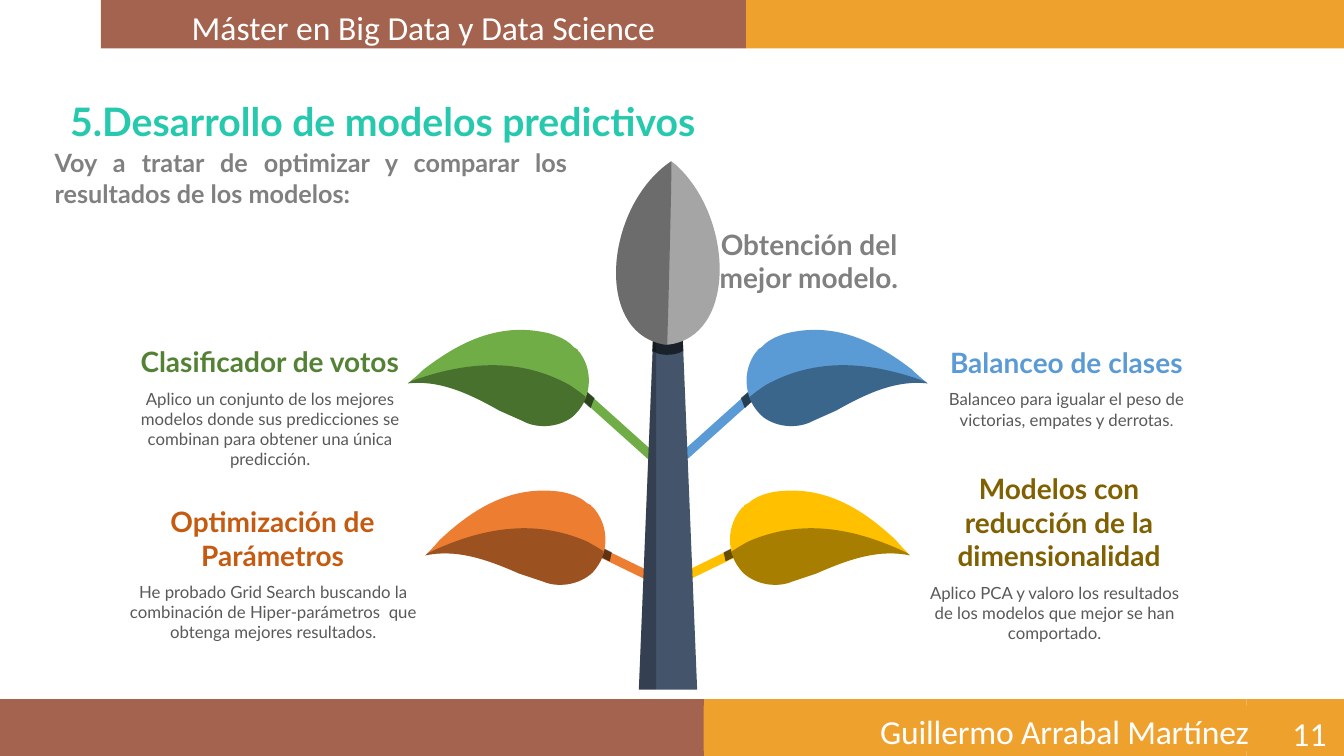
from math import cos, radians, sin

from lxml.etree import SubElement
from pptx import Presentation
from pptx.dml.color import RGBColor
from pptx.enum.shapes import MSO_SHAPE as Shape
from pptx.enum.text import MSO_ANCHOR as Anchor, PP_ALIGN as Align
from pptx.oxml.ns import qn
from pptx.util import Cm, Pt

BROWN = RGBColor(0xA4, 0x63, 0x4E)
AMBER = RGBColor(0xEF, 0xA1, 0x2D)
TEAL = RGBColor(0x27, 0xC9, 0xAE)
GREY = RGBColor(0x80, 0x80, 0x80)
DARK_GREY = RGBColor(0x59, 0x59, 0x59)
SILVER = RGBColor(0xA5, 0xA5, 0xA5)
SLATE = RGBColor(0x44, 0x54, 0x6A)
BLUE = RGBColor(0x5B, 0x9B, 0xD5)
GREEN = RGBColor(0x70, 0xAD, 0x47)
DARK_GREEN = RGBColor(0x54, 0x82, 0x35)
ORANGE = RGBColor(0xED, 0x7D, 0x31)
DARK_ORANGE = RGBColor(0xC5, 0x5A, 0x11)
GOLD = RGBColor(0xFF, 0xC0, 0x00)
DARK_GOLD = RGBColor(0x80, 0x60, 0x00)
BLACK = RGBColor(0, 0, 0)
WHITE = RGBColor(0xFF, 0xFF, 0xFF)

UNIT = Cm(0.0254)  # outlines are given in hundredths of an inch
MIRROR_SUM = 1325  # x of a left point plus x of its right twin
LOWER_CENTRE, UPPER_CENTRE, TILT = (520.5, 542.5), (503.5, 381.5), radians(5.6)

deck = Presentation()
deck.slide_width, deck.slide_height = Cm(33.87), Cm(19.05)
page = deck.slides.add_slide(deck.slide_layouts[6])


def add_outline(path, color, opacity=100, mirrored=False, tilted=False):
    """Draw a closed path: pairs are corners, sextuples are Bezier curves.

    A tilted path is turned from the lower leaf's place to the upper one's."""
    steps, extent = [], []
    for numbers in path:
        points = list(zip(numbers[::2], numbers[1::2]))
        if tilted:
            offsets = [(x - LOWER_CENTRE[0], y - LOWER_CENTRE[1]) for x, y in points]
            points = [(UPPER_CENTRE[0] + x * cos(TILT) - y * sin(TILT),
                       UPPER_CENTRE[1] + x * sin(TILT) + y * cos(TILT)) for x, y in offsets]
        if mirrored:
            points = [(MIRROR_SUM - x, y) for x, y in points]
        points = [(round(x * UNIT), round(y * UNIT)) for x, y in points]
        if len(points) == 3:  # points on the curve give the outline its true extent
            knots = [extent[-1], *points]
            for t in (0.25, 0.5, 0.75):
                weights = ((1 - t) ** 3, 3 * t * (1 - t) ** 2, 3 * t * t * (1 - t), t ** 3)
                extent.append(tuple(round(sum(w * knot[axis] for w, knot in zip(weights, knots)))
                                    for axis in (0, 1)))
        extent.append(points[-1])
        steps.append(points)
    builder = page.shapes.build_freeform(*extent[0], scale=1.0)
    builder.add_line_segments(extent[1:], close=True)
    shape = builder.convert_to_shape()
    trace = next(shape._element.iter(qn("a:path")))
    for child in list(trace):
        trace.remove(child)
    for i, points in enumerate(steps):
        tag = "a:moveTo" if i == 0 else "a:lnTo" if len(points) == 1 else "a:cubicBezTo"
        step = SubElement(trace, qn(tag))
        for x, y in points:
            SubElement(step, qn("a:pt"), x=str(x - shape.left), y=str(y - shape.top))
    SubElement(trace, qn("a:close"))
    shape.shadow.inherit = False
    shape.line.fill.background()
    shape.fill.solid()
    shape.fill.fore_color.rgb = color
    if opacity < 100:
        tint = shape.fill._xPr.find(qn("a:solidFill"))[0]
        SubElement(tint, qn("a:alpha"), val=str(opacity * 1000))


def add_text(place, spans, font, frame=None, layout=None, indent=0, fill=None):
    """Add a one-paragraph text box; spans are pairs of text and size in points."""
    box = page.shapes.add_textbox(*map(Cm, place))
    if fill:
        box.fill.solid()
        box.fill.fore_color.rgb = fill
    para = box.text_frame.paragraphs[0]
    formats = [(box.text_frame, {"word_wrap": True, **(frame or {})}), (para, layout or {})]
    for text, size in spans:
        span = para.add_run()
        span.text = text
        formats += [(span.font, {**font["face"], "size": Pt(size)}),
                    (span.font.color, {"rgb": font["color"]})]
    for target, values in formats:
        for key, value in values.items():
            setattr(target, key, value)
    if indent:
        para._p.get_or_add_pPr().set("marL", str(Cm(indent)))
    return para


# Bars, then the stems and the trunk of the plant
blocks = [
    (Shape.RECTANGLE, (2.54, 17.62, 14.4, 1.43), 0, BROWN),
    (Shape.RECTANGLE, (16.94, 17.62, 14.48, 1.43), 0, AMBER),
    (Shape.RECTANGLE, (31.42, 17.62, 2.45, 1.43), 0, AMBER),
    (Shape.RECTANGLE, (0, 17.62, 17.74, 1.48), 0, BROWN),
    (Shape.RECTANGLE, (18.8, 0, 15.07, 1.22), 0, AMBER),
    (Shape.RECTANGLE, (15.54, 12.98, 0.23, 2.39), 295.9, ORANGE),
    (Shape.RECTANGLE, (15.47, 9.17, 0.23, 3.15), 311.9, GREEN),
    (Shape.RECTANGLE, (17.88, 12.98, 0.23, 2.39), 64.1, GOLD),
    (Shape.RECTANGLE, (17.96, 9.17, 0.23, 3.15), 48.1, BLUE),
    (Shape.TRAPEZOID, (16.1, 8.41, 1.47, 8.97), 0, SLATE),
]
for kind, place, rotation, color in blocks:
    block = page.shapes.add_shape(kind, *map(Cm, place))
    block.shadow.inherit = False
    block.rotation = rotation
    block.fill.solid()
    block.fill.fore_color.rgb = color
    block.line.fill.background()

trunk_shade = [(648, 331), (651, 331), (651, 684), (634, 684)]
trunk_collar = [(648, 331), (677, 331), (678, 348), (674, 350),
                (671, 351, 667, 352, 662, 352), (661, 352),
                (657, 352, 652, 351, 649, 349), (647, 349)]
add_outline(trunk_shade, BLACK, 23)
add_outline(trunk_collar, BLACK, 60)

lower_joint = [(577, 533), (607, 548), (605, 557), (573, 541)]
upper_joint = [(570, 378), (590, 395), (589, 397), (586, 405), (564, 385)]
leaf_belly = [(574, 581, 553, 583, 539, 577), (515, 569), (479, 553, 451, 545, 422, 551)]
leaf = [(436, 536), (471, 503, 509, 481, 557, 488), (567, 490, 575, 493, 581, 498),
        (582, 499), (584, 500), (586, 501), (587, 502), (587, 503),
        (587, 503, 588, 503, 588, 503), (605, 521, 605, 550, 588, 568),
        *leaf_belly, (427, 546, 432, 541, 436, 536)]
leaf_shade = [(423, 550), (426, 548), (477, 524, 529, 514, 582, 537),
              (586, 539, 589, 541, 591, 542), (599, 547), (598, 552),
              (596, 558, 592, 563, 588, 568), *leaf_belly]
leaves = [(ORANGE, lower_joint, False, False), (GREEN, upper_joint, False, True),
          (GOLD, lower_joint, True, False), (BLUE, upper_joint, True, True)]
for color, joint, mirrored, tilted in leaves:
    add_outline(joint, BLACK, 60, mirrored)
    add_outline(leaf, color, 100, mirrored, tilted)
    add_outline(leaf_shade, BLACK, 34, mirrored, tilted)

bud_left = [(666, 160), (600, 204, 588, 332, 661, 342), (662, 342)]
add_outline([*bud_left, (731, 335, 729, 216, 670, 163), (670, 163, 666, 160, 666, 160)], SILVER)
add_outline([*bud_left, (663, 312, 667, 160, 666, 160)], BLACK, 34)

# Header, footer and introduction
bar_font = {"face": {"name": "Calibri"}, "color": WHITE}
bold = {"name": "Lato", "bold": True}
flush = {"margin_left": 0, "margin_right": 0}
add_text((2.54, 0, 16.26, 1.22), [("Máster en Big Data y Data Science", 24)], bar_font,
         {**flush, "margin_top": Cm(0.18), "margin_bottom": 0},
         {"alignment": Align.CENTER, "space_before": Pt(5.3)}, fill=BROWN)
author = add_text((17.73, 17.78, 16.13, 1.14), [("Guillermo Arrabal Martínez", 24)], bar_font,
                  {**flush, "margin_bottom": 0}, {"space_before": Pt(3.4)}, 4.45, AMBER)
author.runs[0].font._element.set("spc", "-10")
add_text((25.81, 18.01, 7.62, 1.02), [("11", 24)], bar_font,
         {**flush, "margin_top": 0, "margin_bottom": 0, "vertical_anchor": Anchor.MIDDLE},
         {"alignment": Align.RIGHT, "line_spacing": Pt(26.7)})
add_text((1.52, 2.33, 23.72, 1.45), [("5.Desarrollo de modelos predictivos", 28)],
         {"face": bold, "color": TEAL})
add_text((0.83, 3.6, 13.72, 3),
         [("Voy a tratar de optimizar y comparar los resultados de los modelos:", 18)],
         {"face": bold, "color": GREY},
         layout={"alignment": Align.JUSTIFY, "space_after": Pt(12)}, indent=0.3)

# Leaf captions: each heading stands on the top edge of its description
centred = {"alignment": Align.CENTER}
heading_frame = {**flush, "vertical_anchor": Anchor.BOTTOM}
body_font = {"face": {"name": "Lato"}, "color": DARK_GREY}
captions = [
    ((23.7, 7.72, 6.35, 1.96), "Balanceo de clases", BLUE, (6.36, 1.27),
     [("Balanceo para igualar el peso de victorias, empates y derrotas", 12), (".", 11)]),
    ((23.16, 11.73, 7.06, 2.82), "Modelos con reducción de la dimensionalidad", DARK_GOLD,
     (6.84, 1.8),
     [("Aplico PCA y valoro los resultados de los modelos que mejor se han comportado.", 12)]),
    ((3.37, 7.7, 6.86, 1.96), "Clasificador de votos", DARK_GREEN, (6.88, 2.31),
     [("Aplico un conjunto de los mejores modelos donde sus predicciones se combinan "
       "para obtener una única predicción.", 12)]),
    ((3.2, 12.57, 7.34, 1.96), "Optimización de Parámetros", DARK_ORANGE, (7.38, 1.8),
     [("He probado Grid Search buscando la combinación de Hiper-parámetros  que obtenga "
       "mejores resultados.", 12)]),
    ((18.08, 4.72, 4.62, 2.82), "Obtención del mejor modelo.", GREY, None, None),
]
for place, heading, color, body_size, body in captions:
    add_text(place, [(heading, 20)], {"face": bold, "color": color}, heading_frame, centred)
    if body:
        left, top, width, height = place
        add_text((left, top + height, *body_size), body, body_font, flush, centred)

deck.save("out.pptx")
